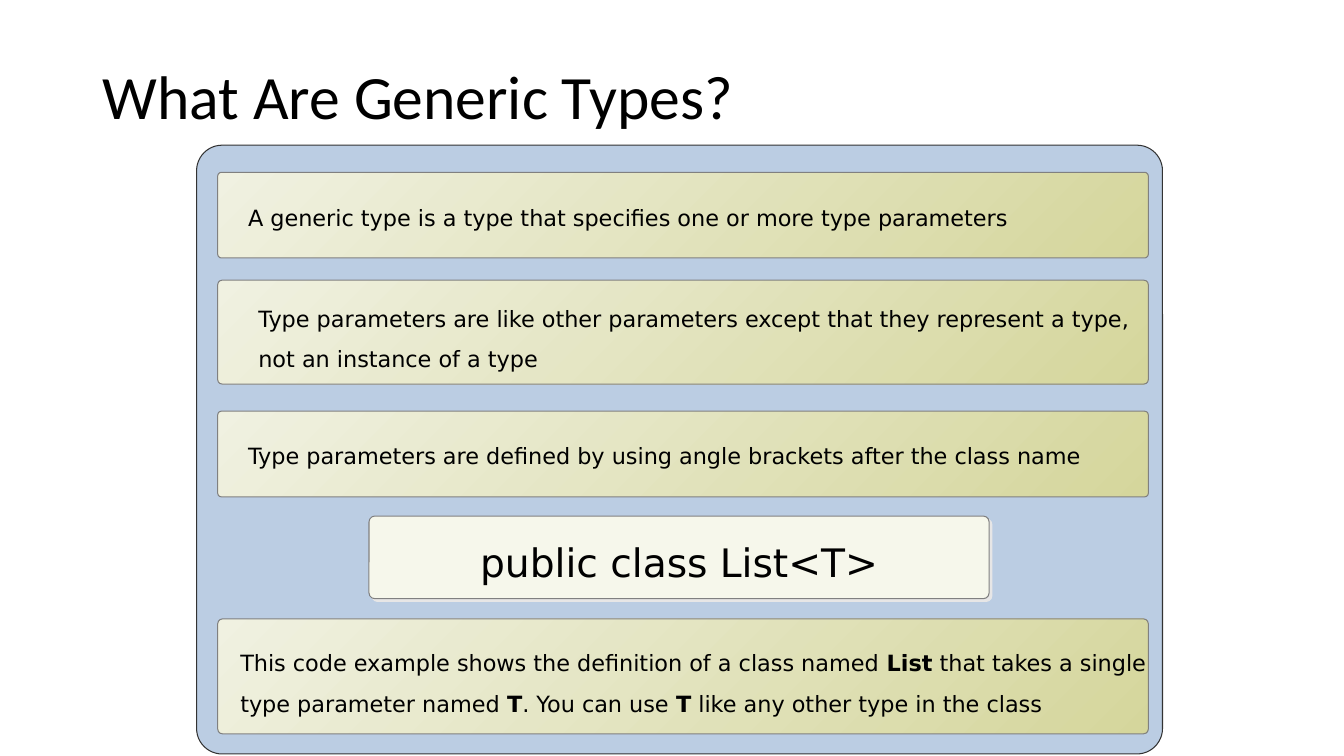
from lxml.etree import SubElement as Sub
from pptx import Presentation
from pptx.dml.color import RGBColor
from pptx.enum.shapes import MSO_SHAPE as Kind
from pptx.enum.text import MSO_ANCHOR as Anchor, PP_ALIGN as Align
from pptx.oxml.ns import qn
from pptx.util import Inches, Pt

deck = Presentation()
deck.slide_width, deck.slide_height = Inches(13.33), Inches(7.5)
wide, high = deck.slide_width / 100, deck.slide_height / 100
slide = deck.slides.add_slide(deck.slide_layouts[6])
hue = RGBColor.from_string


def write(shape, text, size=16, font="DejaVu Sans", space=1.2, align=Align.LEFT, left=0.1, side=0.1):
    frame = shape.text_frame
    frame.word_wrap = True
    frame.vertical_anchor = Anchor.MIDDLE
    frame.margin_left, frame.margin_right = Inches(left), Inches(side)
    frame.margin_top = frame.margin_bottom = 0
    para = frame.paragraphs[0]
    para.alignment, para.line_spacing = align, space
    for i, part in enumerate(text.split("*")):
        run = para.add_run()
        run.text = part
        run.font.name, run.font.size = font, Pt(size)
        run.font.bold = i % 2 == 1
        run.font.color.rgb = hue("000000")


def panel(x, y, w, h, fills, edge="808080", bend=0.042):
    shape = slide.shapes.add_shape(
        Kind.ROUNDED_RECTANGLE, int(x * wide), int(y * high), int(w * wide), int(h * high))
    shape.adjustments[0] = bend
    shape.shadow.inherit = False
    shape.line.color.rgb, shape.line.width = hue(edge), Pt(0.75)
    if len(fills) == 1:
        shape.fill.solid()
        shape.fill.fore_color.rgb = hue(fills[0])
    else:
        shape.fill.gradient()
        shape.fill.gradient_angle = 315
        for stop, tone in zip(shape.fill.gradient_stops, fills):
            stop.color.rgb = hue(tone)
    return shape


title = slide.shapes.add_textbox(
    int(6.9 * wide), int(3.47 * high), int(86.25 * wide), int(19.33 * high))
write(title, "What Are Generic Types?", size=44, font="Calibri", space=0.9)

panel(14.63, 19.2, 71.87, 80.53, ["BBCDE3"], edge="333333")

bars = [
    (22.8, 11.33, 0.29, 1.2, "A generic type is a type that specifies one or more type parameters"),
    (37.07, 13.73, 0.39, 1.5, "Type parameters are like other parameters except that they represent "
                              "a type, not an instance of a type"),
    (54.4, 11.33, 0.29, 1.15, "Type parameters are defined by using angle brackets after the class name"),
    (81.87, 15.2, 0.21, 1.5, "This code example shows the definition of a class named *List* that takes "
                             "a single type parameter named *T*. You can use *T* like any other type in the class"),
]
for top, tall, left, space, text in bars:
    bar = panel(16.2, top, 69.24, tall, ["F0F1E1", "D5D69C"])
    write(bar, text, space=space, left=left, side=0)

code = panel(27.46, 68.27, 46.14, 10.93, ["F6F7EB"], bend=0.071)
write(code, "public class List<T>", size=28, align=Align.CENTER)
glow = code._element.spPr.find(qn("a:effectLst"))
shade = Sub(glow, qn("a:outerShdw"), dist=str(Pt(2.8)), dir="2700000", algn="ctr", rotWithShape="0")
Sub(shade, qn("a:srgbClr"), val="E7E6E6")

deck.save("out.pptx")
